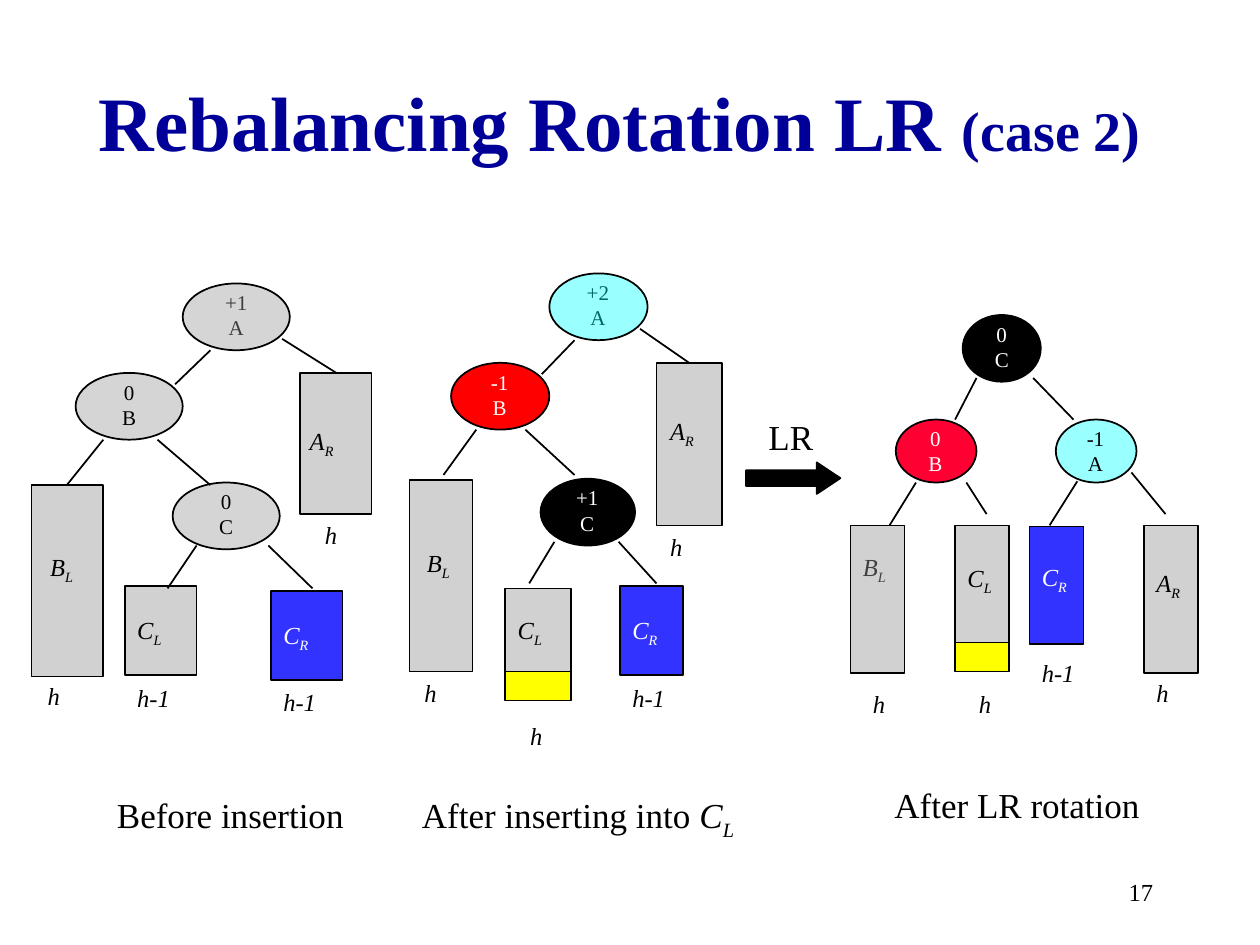
"""Builds a slide on the LR rebalancing rotation of an AVL tree, case 2."""
from pptx import Presentation
from pptx.dml.color import RGBColor
from pptx.enum.shapes import MSO_CONNECTOR as Connector, MSO_SHAPE as Shape
from pptx.enum.text import MSO_ANCHOR as Anchor, MSO_AUTO_SIZE as AutoSize, PP_ALIGN as Align
from pptx.oxml.ns import qn
from pptx.util import Emu, Pt
from lxml.etree import SubElement

PX = 9144
FONT = "Times New Roman"
COLORS = {
    "black": "000000", "white": "FFFFFF", "navy": "000099", "gray": "969696",
    "blue": "0000FF", "cyan": "00FFFF", "red": "FF0000", "crimson": "FF0033",
    "yellow": "FFFF00",
}
NODE_ALPHA = {"gray": 40, "cyan": 40}
BAR_ALPHA = {"gray": 43, "blue": 80}
DARK = {"black", "blue", "red", "crimson"}

BEFORE = {
    "label_width": 85,
    "nodes": [
        (145, 225, 85, 53, "+1\vA", "gray", True),
        (60, 296, 85, 53, "0\vB", "gray", False),
        (137, 383, 85, 53, "0\vC", "gray", False),
    ],
    "bars": [
        (25, 385, 57, 152, "gray", "B_L", 30, 433, False),
        (215, 469, 57, 71, "blue", "C_R", 215, 487, False),
        (238, 296, 57, 112, "gray", "A_R", 236, 333, False),
        (99, 465, 57, 71, "gray", "C_L", 99, 483, False),
    ],
    "heights": [("h", 248, 408), ("h-1", 215, 540), ("h", 28, 536), ("h-1", 99, 537)],
    "edges": [
        (167, 278, 139, 305), (82, 349, 53, 385), (125, 349, 167, 385),
        (224, 269, 267, 296), (156, 433, 133, 467), (213, 433, 248, 467),
    ],
}
ROTATED = {
    "label_width": 64,
    "nodes": [
        (838, 333, 64, 50, "-1\vA", "cyan", False),
        (711, 333, 64, 50, "0\vB", "crimson", False),
        (764, 250, 62, 53, "0\vC", "black", False),
    ],
    "bars": [
        (675, 417, 43, 117, "gray", "B_L", 675, 433, True),
        (817, 418, 43, 93, "blue", "C_R", 817, 441, False),
        (908, 417, 43, 117, "gray", "A_R", 908, 446, False),
        (758, 417, 43, 93, "gray", "C_L", 758, 442, False),
        (758, 510, 43, 23, "yellow", "", 0, 0, False),
    ],
    "heights": [("h", 908, 533), ("h-1", 817, 517), ("h", 683, 542), ("h", 767, 542)],
    "edges": [
        (727, 383, 706, 417), (820, 300, 852, 333), (898, 375, 925, 408),
        (855, 382, 833, 417), (767, 383, 783, 408), (775, 300, 758, 333),
    ],
}
INSERTED = {
    "label_width": 75,
    "nodes": [
        (436, 217, 78, 53, "+2\vA", "cyan", True),
        (358, 288, 78, 53, "-1\vB", "red", False),
        (429, 380, 75, 53, "+1\vC", "black", False),
    ],
    "bars": [
        (521, 288, 52, 129, "gray", "A_R", 522, 325, False),
        (325, 381, 50, 152, "gray", "B_L", 329, 430, False),
        (492, 465, 50, 71, "blue", "C_R", 492, 483, False),
        (401, 467, 52, 67, "gray", "C_L", 401, 483, False),
        (401, 533, 52, 23, "yellow", "", 0, 0, False),
    ],
    "heights": [("h", 522, 417), ("h-1", 492, 537), ("h", 327, 533), ("h", 411, 567)],
    "edges": [
        (456, 270, 430, 297), (378, 341, 352, 377), (417, 341, 456, 377),
        (508, 261, 547, 288), (440, 430, 420, 463), (491, 430, 521, 463),
    ],
}


def rgb(name):
    return RGBColor.from_string(COLORS[name])


def add_text(para, text, size=14, color="black", bold=False, italic=False):
    """Adds text to a paragraph, lowering what follows an underscore."""
    for index, part in enumerate(text.split("_")):
        span = para.add_run() if "\v" not in part else None
        if span is None:
            first, second = part.split("\v")
            add_text(para, first, size, color, bold, italic)
            para.add_line_break()
            add_text(para, second, size, color, bold, italic)
            continue
        span.text = part
        span.font.name, span.font.size = FONT, Pt(size)
        span.font.bold, span.font.italic = bold, italic
        span.font.color.rgb = rgb(color)
        if index:
            span.font._element.set("baseline", "-25000")


class Sketch:
    """Holds the style and the page being drawn."""

    def __init__(self, page, line_width=1):
        self.page = page
        self.line_width = Pt(line_width)

    def box(self, x, y, w, h, *spans, align=Align.LEFT, anchor=Anchor.TOP,
            wrap=True, grow=True):
        box = self.page.shapes.add_textbox(*(Emu(n * PX) for n in (x, y, w, h)))
        frame = box.text_frame
        frame.word_wrap, frame.vertical_anchor = wrap, anchor
        frame.auto_size = AutoSize.SHAPE_TO_FIT_TEXT if grow else AutoSize.NONE
        para = frame.paragraphs[0]
        para.alignment = align
        for text, style in spans:
            add_text(para, text, **style)

    def shape(self, kind, x, y, w, h, fill, alpha=None):
        shape = self.page.shapes.add_shape(kind, *(Emu(n * PX) for n in (x, y, w, h)))
        shape.shadow.inherit = False
        shape.fill.solid()
        shape.fill.fore_color.rgb = rgb(fill)
        shape.line.color.rgb = rgb("black")
        shape.line.width = self.line_width
        if alpha:
            color = shape._element.spPr.find(qn("a:solidFill"))[0]
            SubElement(color, qn("a:alpha")).set("val", str(alpha * 1000))
        return shape

    def edge(self, *ends):
        line = self.page.shapes.add_connector(Connector.STRAIGHT, *(Emu(n * PX) for n in ends))
        line.line.color.rgb = rgb("black")
        line.line.width = self.line_width
        SubElement(line._element.spPr, qn("a:effectLst"))

    def filled(self, kind, place, fill, alpha, covered, label):
        if covered:
            label()
        self.shape(kind, *place, fill, alpha)
        if not covered:
            label()

    def node(self, x, y, w, h, text, fill, covered):
        style = {"size": 12, "color": "white" if fill in DARK else "black"}
        self.filled(Shape.OVAL, (x, y, w, h), fill, NODE_ALPHA.get(fill), covered,
                    lambda: self.box(x + round(w / 12), y, round(w * 5 / 6), 50,
                                     (text, style), align=Align.CENTER))

    def label(self, text, x, y, width, color="black"):
        if text:
            self.box(x, y, width, 33, (text, {"color": color, "italic": True}))

    def bar(self, x, y, w, h, fill, text, label_x, label_y, covered, width):
        color = "white" if fill in DARK else "black"
        self.filled(Shape.RECTANGLE, (x, y, w, h), fill, BAR_ALPHA.get(fill), covered,
                    lambda: self.label(text, label_x, label_y, width, color))

    def tree(self, tree):
        width = tree["label_width"]
        for node in tree["nodes"]:
            self.node(*node)
        for bar in tree["bars"]:
            self.bar(*bar, width)
        for height in tree["heights"]:
            self.label(*height, width)
        for edge in tree["edges"]:
            self.edge(*edge)


def main():
    deck = Presentation()
    deck.slide_width, deck.slide_height = Emu(1000 * PX), Emu(750 * PX)
    sketch = Sketch(deck.slides.add_slide(deck.slide_layouts[6]))
    heading = {"color": "navy", "bold": True}
    caption = {"size": 20}
    sketch.box(717, 683, 208, 50, ("17", {}), align=Align.RIGHT, anchor=Anchor.MIDDLE,
               wrap=False, grow=False)
    sketch.box(67, 33, 850, 125, ("Rebalancing Rotation LR ", {"size": 44, **heading}),
               ("(case 2)", {"size": 32, **heading}),
               align=Align.CENTER, anchor=Anchor.MIDDLE, grow=False)
    arrow = sketch.shape(Shape.RIGHT_ARROW, 592, 367, 75, 25, "black")
    arrow.adjustments[1] = 0.75
    sketch.box(600, 325, 58, 43, ("LR", caption))
    sketch.box(83, 625, 200, 43, ("Before insertion", caption))
    sketch.box(325, 625, 283, 43, ("After inserting into ", caption),
               ("C_L", {**caption, "italic": True}))
    sketch.box(700, 617, 233, 43, ("After LR rotation", caption))
    for tree in (BEFORE, ROTATED, INSERTED):
        sketch.tree(tree)
    deck.save("out.pptx")


if __name__ == "__main__":
    main()
